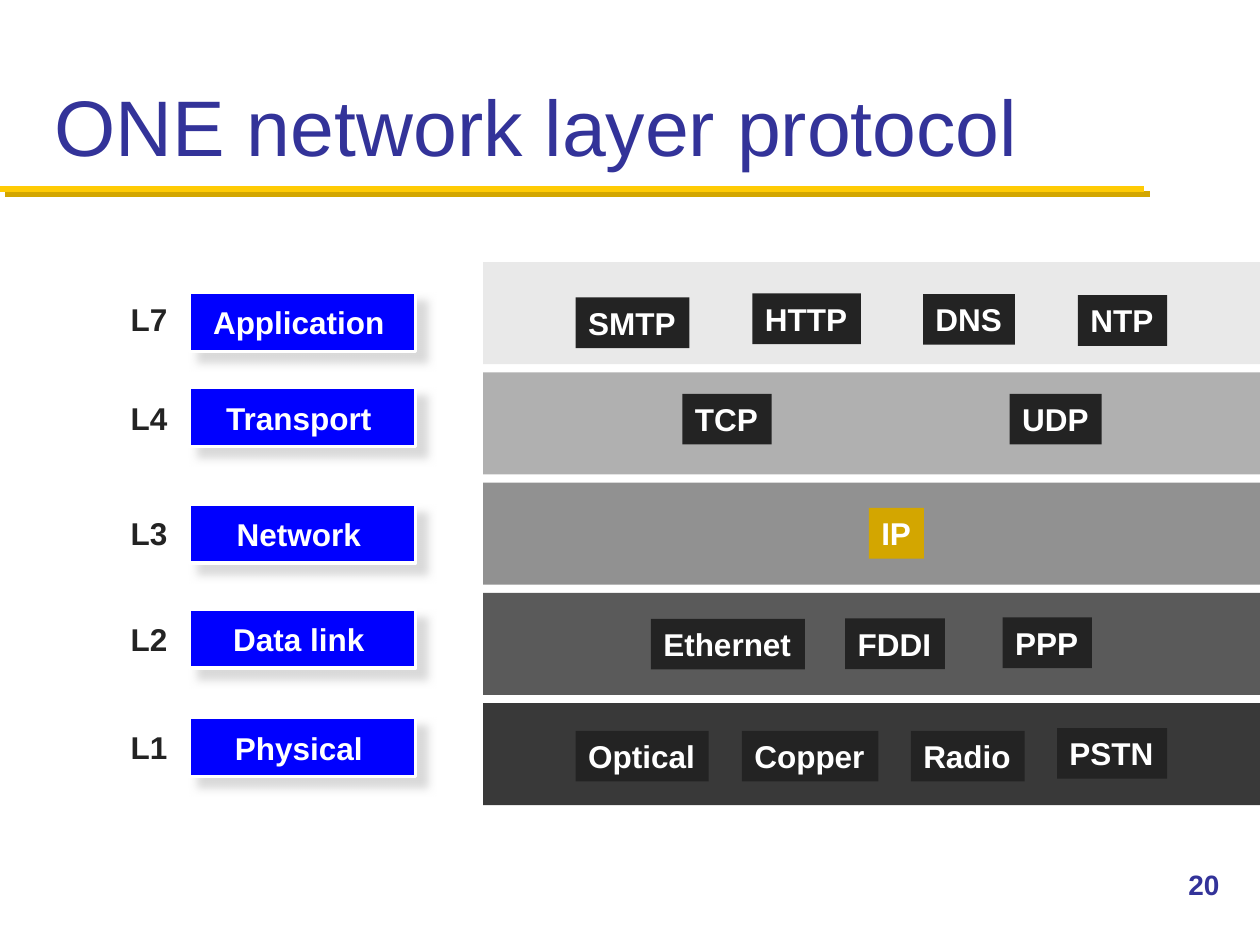
from lxml.etree import SubElement
from pptx import Presentation
from pptx.dml.color import RGBColor
from pptx.enum.shapes import MSO_CONNECTOR, MSO_SHAPE
from pptx.enum.text import MSO_ANCHOR, MSO_AUTO_SIZE, PP_ALIGN
from pptx.oxml.ns import qn
from pptx.util import Pt

WHITE = RGBColor(0xFF, 0xFF, 0xFF)
INK = RGBColor(0x23, 0x23, 0x23)
NAVY = RGBColor(0x33, 0x33, 0x99)
BLUE = RGBColor(0x00, 0x00, 0xFF)
YELLOW = RGBColor(0xFF, 0xCB, 0x05)
GOLD = RGBColor(0xD3, 0xA6, 0x00)
SHADOW = RGBColor(0xCE, 0xCE, 0xCE)
GREYS = [RGBColor(g, g, g) for g in (0xE9, 0xB0, 0x91, 0x5A, 0x39)]

BAND_TOP, BAND_STEP, BAND_H = 149.8, 63, 58.3
BOX_X, BOX_W, BOX_H = 108, 129.6, 33.8
TAG_H = 29

# level, name, name width, box top, level top, protocols as (text, left, top, width)
LAYERS = [
    ("L7", "Application", 121.7, 167, 168,
     [("SMTP", 329, 170, 65), ("HTTP", 430, 167.6, 62),
      ("DNS", 527.5, 168, 52.5), ("NTP", 616, 168.6, 51)]),
    ("L4", "Transport", 104.4, 221.5, 224.5,
     [("TCP", 390, 225, 51), ("UDP", 577, 225, 52.5)]),
    ("L3", "Network", 91.4, 288, 290, [("IP", 496.5, 290.2, 31.5)]),
    ("L2", "Data link", 95.8, 348, 350.5,
     [("Ethernet", 372, 353.6, 88), ("FDDI", 483, 353.4, 57),
      ("PPP", 573, 352.8, 51)]),
    ("L1", "Physical", 93.6, 410, 412.5,
     [("Optical", 329, 417.6, 76), ("Copper", 424, 417.6, 78),
      ("Radio", 520.5, 417.6, 65), ("PSTN", 604, 416, 63)]),
]


class Deck:
    font = "Arial"

    def __init__(self):
        self.prs = Presentation()
        self.prs.slide_width, self.prs.slide_height = Pt(720), Pt(540)
        self.s = self.prs.slides.add_slide(self.prs.slide_layouts[5])

    def set_text(self, sp, text, size, color, bold=True, align=PP_ALIGN.LEFT,
                 anchor=MSO_ANCHOR.TOP, wrap=False, insets=(7.2, 3.6, 7.2, 3.6)):
        tf = sp.text_frame
        tf.word_wrap = wrap
        tf.auto_size = MSO_AUTO_SIZE.NONE
        tf.vertical_anchor = anchor
        (tf.margin_left, tf.margin_top,
         tf.margin_right, tf.margin_bottom) = map(Pt, insets)
        p = tf.paragraphs[0]
        p.alignment = align
        r = p.add_run()
        r.text = text
        r.font.name, r.font.size, r.font.bold = self.font, Pt(size), bold
        r.font.color.rgb = color

    def shadow(self, sp, color, alpha, blur, dist):
        sp.shadow.inherit = False
        effects = sp._element.spPr.find(qn("a:effectLst"))
        outer = SubElement(effects, qn("a:outerShdw"), blurRad=str(Pt(blur)),
                           dist=str(Pt(dist)), dir="2700000", algn="ctr",
                           rotWithShape="0")
        clr = SubElement(outer, qn("a:srgbClr"), val=str(color))
        SubElement(clr, qn("a:alpha"), val=str(alpha * 1000))

    def title(self, text, x, y, w, h):
        sp = self.s.shapes.title
        sp.left, sp.top, sp.width, sp.height = map(Pt, (x, y, w, h))
        self.set_text(sp, text, 45, NAVY, bold=False,
                      anchor=MSO_ANCHOR.BOTTOM, wrap=True)

    def text(self, text, x, y, w, h, size, color):
        sp = self.s.shapes.add_textbox(*map(Pt, (x, y, w, h)))
        self.set_text(sp, text, size, color, wrap=True)

    def rule(self, x1, x2, y):
        ln = self.s.shapes.add_connector(
            MSO_CONNECTOR.STRAIGHT, *map(Pt, (x1, y, x2, y)))
        ln.line.color.rgb, ln.line.width = YELLOW, Pt(3.5)
        # A connector has no shadow property, so its list is added here
        SubElement(ln._element.spPr, qn("a:effectLst"))
        self.fill_shadow(ln, GOLD, 100, 0, 4.2)

    def fill_shadow(self, sp, color, alpha, blur, dist):
        effects = sp._element.spPr.find(qn("a:effectLst"))
        outer = SubElement(effects, qn("a:outerShdw"), blurRad=str(Pt(blur)),
                           dist=str(Pt(dist)), dir="2700000", algn="ctr",
                           rotWithShape="0")
        clr = SubElement(outer, qn("a:srgbClr"), val=str(color))
        SubElement(clr, qn("a:alpha"), val=str(alpha * 1000))

    def rect(self, x, y, w, h, fill, shapes=None):
        shapes = shapes or self.s.shapes
        sp = shapes.add_shape(MSO_SHAPE.RECTANGLE, *map(Pt, (x, y, w, h)))
        sp.fill.solid()
        sp.fill.fore_color.rgb = fill
        sp.line.fill.background()
        sp.shadow.inherit = False
        return sp

    def tag(self, text, x, y, w, fill, color):
        self.set_text(self.rect(x, y, w, TAG_H, fill), text, 18, color)

    def layer_box(self, name, name_w, y):
        group = self.s.shapes.add_group_shape()
        box = self.rect(BOX_X, y, BOX_W, BOX_H, BLUE, group.shapes)
        box.line.color.rgb, box.line.width = WHITE, Pt(2)
        self.fill_shadow(box, SHADOW, 75, 5, 8)
        x = BOX_X + (BOX_W - name_w) / 2
        label = self.rect(x, y + 3.2, name_w, 28, BLUE, group.shapes)
        self.set_text(label, name, 18, WHITE, align=PP_ALIGN.CENTER,
                      anchor=MSO_ANCHOR.MIDDLE, insets=(3, 3, 7.2, 3))


def main():
    deck = Deck()

    # Heading and page number
    deck.rule(0, 654, 108)
    deck.title("ONE network layer protocol", 24, 12, 672, 90)
    deck.text("20", 672, 492, 48, 36, 16, NAVY)

    # Bands behind the protocols
    for i, grey in enumerate(GREYS):
        deck.rect(276, BAND_TOP + i * BAND_STEP, 444, BAND_H, grey)

    # Layers with their levels and protocols
    for level, name, name_w, box_y, level_y, protocols in LAYERS:
        deck.layer_box(name, name_w, box_y)
        deck.tag(level, 67.6, level_y, 36, WHITE, INK)
        for text, x, y, w in protocols:
            deck.tag(text, x, y, w, GOLD if text == "IP" else INK, WHITE)

    deck.prs.save("out.pptx")


if __name__ == "__main__":
    main()
